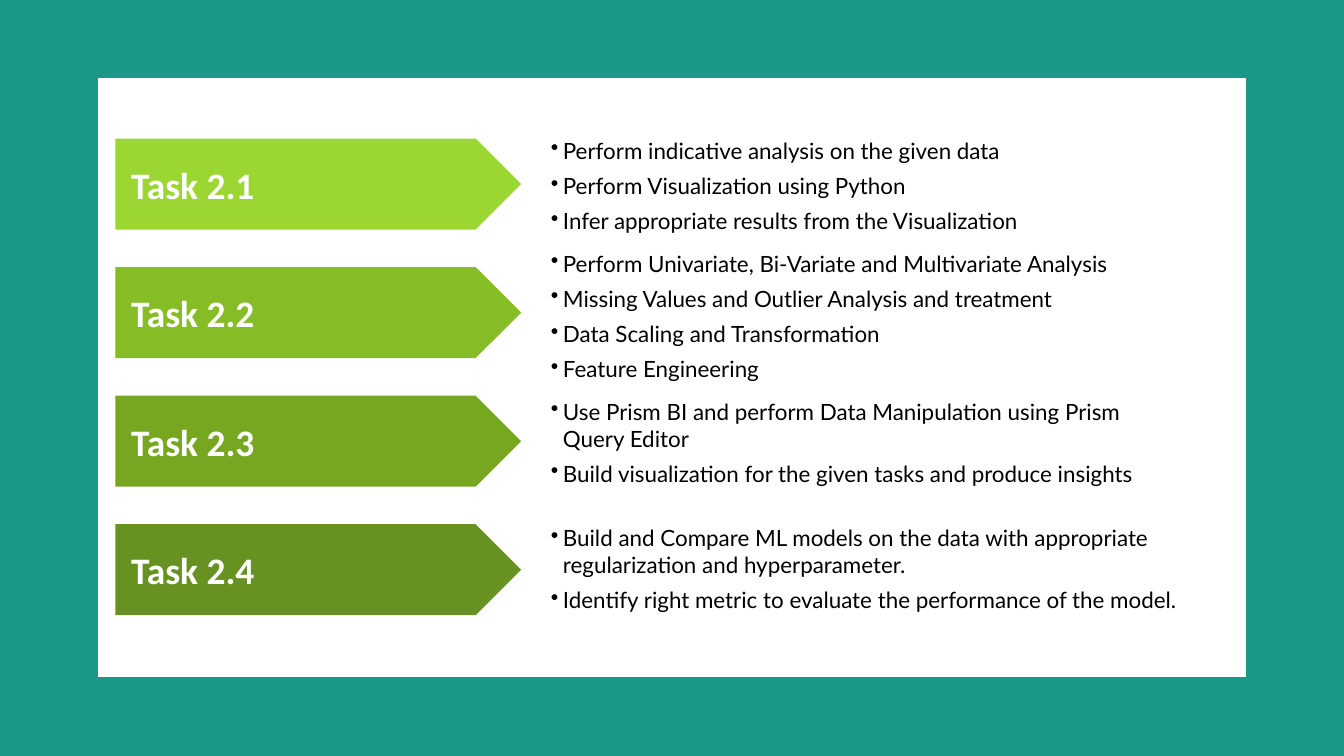
from dataclasses import dataclass

from lxml import etree
from pptx import Presentation
from pptx import util as u
from pptx.dml.color import RGBColor
from pptx.enum import shapes, text
from pptx.oxml import ns

TEAL = RGBColor(0x1A, 0x99, 0x88)
WHITE = RGBColor(0xFF, 0xFF, 0xFF)
BLACK = RGBColor(0x00, 0x00, 0x00)
LIME = RGBColor(0x9B, 0xD6, 0x32)
LEAF = RGBColor(0x86, 0xBC, 0x25)
MOSS = RGBColor(0x77, 0xA7, 0x21)
OLIVE = RGBColor(0x67, 0x92, 0x22)

WIDTH, HEIGHT = u.Cm(25.4), u.Cm(14.29)
ARROW_TOP, ARROW_PITCH = 2.62, 2.43
BULLET_INDENT = u.Cm(0.23)


@dataclass
class Task:
    label: str
    color: RGBColor
    text_top: float
    text_height: float
    bullets: list[str]


TASKS = [
    Task("Task 2.1", LIME, 2.59, 1.98, [
        "Perform indicative analysis on the given data",
        "Perform Visualization using Python",
        "Infer appropriate results from the Visualization",
    ]),
    Task("Task 2.2", LEAF, 4.72, 2.64, [
        "Perform Univariate, Bi-Variate and Multivariate Analysis",
        "Missing Values and Outlier Analysis and treatment",
        "Data Scaling and Transformation",
        "Feature Engineering",
    ]),
    Task("Task 2.3", MOSS, 7.52, 1.73, [
        "Use Prism BI and perform Data Manipulation using Prism Query Editor",
        "Build visualization for the given tasks and produce insights",
    ]),
    Task("Task 2.4", OLIVE, 9.91, 1.73, [
        "Build and Compare ML models on the data with appropriate "
        "regularization and hyperparameter.",
        "Identify right metric to evaluate the performance of the model.",
    ]),
]


def add_block(s, kind, left, top, width, height, color: RGBColor):
    sp = s.shapes.add_shape(kind, left, top, width, height)
    sp.shadow.inherit = False
    sp.fill.solid()
    sp.fill.fore_color.rgb = color
    sp.line.fill.background()
    return sp


def set_margins(tf, left: float, other: float) -> None:
    tf.margin_left = u.Cm(left)
    tf.margin_top = tf.margin_right = tf.margin_bottom = u.Cm(other)


def add_arrow(s, task: Task, top: float) -> None:
    sp = add_block(s, shapes.MSO_SHAPE.PENTAGON, u.Cm(2.18), u.Cm(top),
                   u.Cm(7.67), u.Cm(1.72), task.color)
    tf = sp.text_frame
    tf.word_wrap = True
    tf.vertical_anchor = text.MSO_ANCHOR.MIDDLE
    set_margins(tf, 0.3, 0.18)
    tf.text = task.label
    p = tf.paragraphs[0]
    p.alignment = text.PP_ALIGN.LEFT
    font = p.runs[0].font
    font.name, font.size, font.bold = "Calibri", u.Pt(20), True
    font.color.rgb = WHITE


def add_bullets(s, task: Task) -> None:
    sp = s.shapes.add_textbox(u.Cm(10.41), u.Cm(task.text_top),
                              u.Cm(11.99), u.Cm(task.text_height))
    tf = sp.text_frame
    tf.word_wrap = True
    set_margins(tf, 0, 0)
    tf.text = "\n".join(task.bullets)
    for i, p in enumerate(tf.paragraphs):
        p.level = 1
        pPr = p._p.get_or_add_pPr()
        pPr.set("marL", str(BULLET_INDENT))
        pPr.set("indent", str(-BULLET_INDENT))
        etree.SubElement(pPr, ns.qn("a:buChar")).set("char", "•")
        p.space_before = u.Pt(4.5 if i else 0)
        font = p.runs[0].font
        font.name, font.size = "Lato", u.Pt(12)
        font.color.rgb = BLACK


def main() -> None:
    prs = Presentation()
    prs.slide_width, prs.slide_height = WIDTH, HEIGHT
    s = prs.slides.add_slide(prs.slide_layouts[6])

    # Teal frame around a white panel
    add_block(s, shapes.MSO_SHAPE.RECTANGLE, 0, 0, WIDTH, HEIGHT, TEAL)
    panel = add_block(s, shapes.MSO_SHAPE.RECTANGLE, u.Cm(1.87), u.Cm(1.49),
                      u.Cm(21.66), u.Cm(11.3), WHITE)
    panel.line.color.rgb = WHITE
    panel.line.width = u.Pt(9)
    panel.line.width = u.Pt(0.75)

    # One arrow and one bullet list per task
    for row, task in enumerate(TASKS):
        add_arrow(s, task, ARROW_TOP + row * ARROW_PITCH)
        add_bullets(s, task)

    prs.save("out.pptx")


if __name__ == "__main__":
    main()
